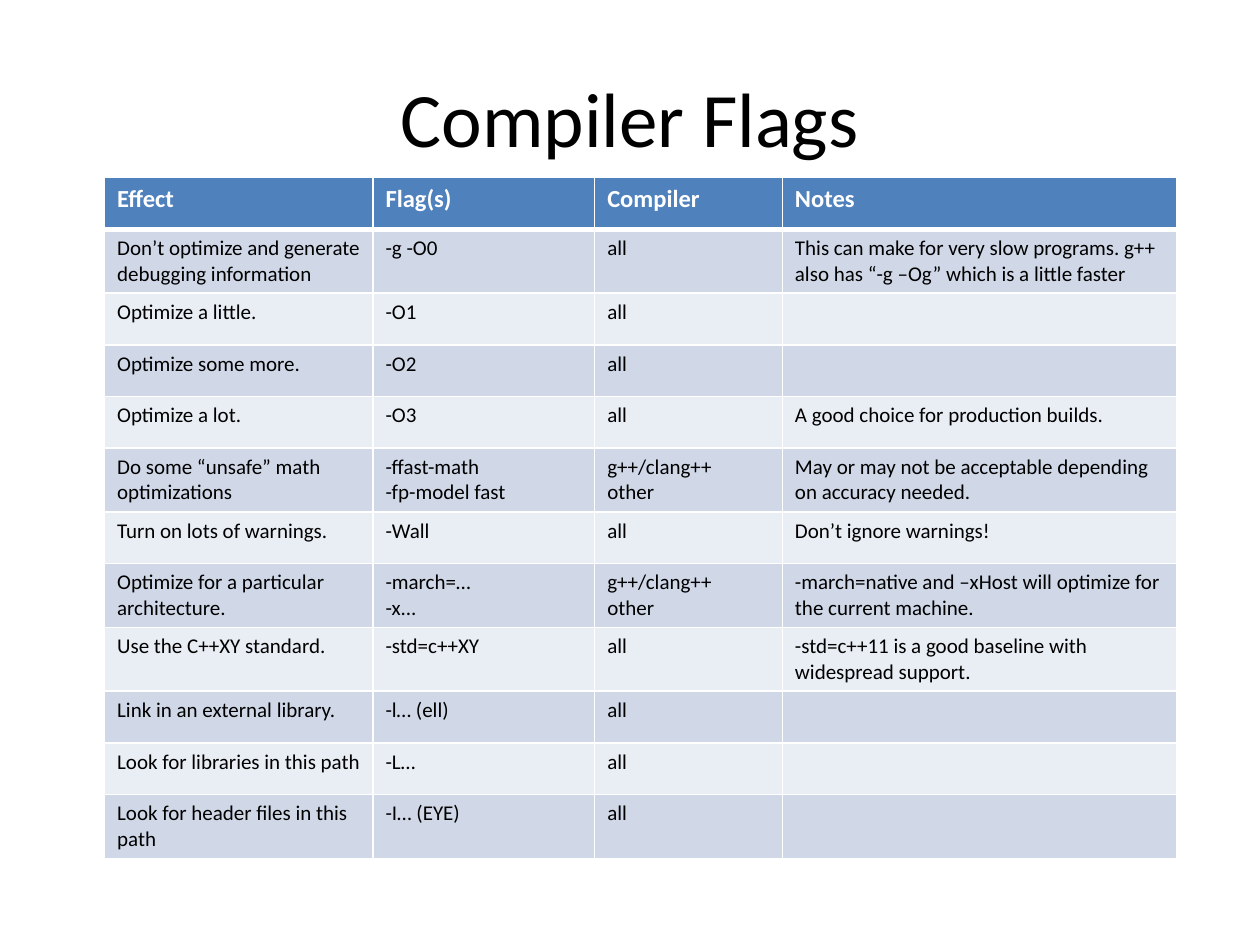
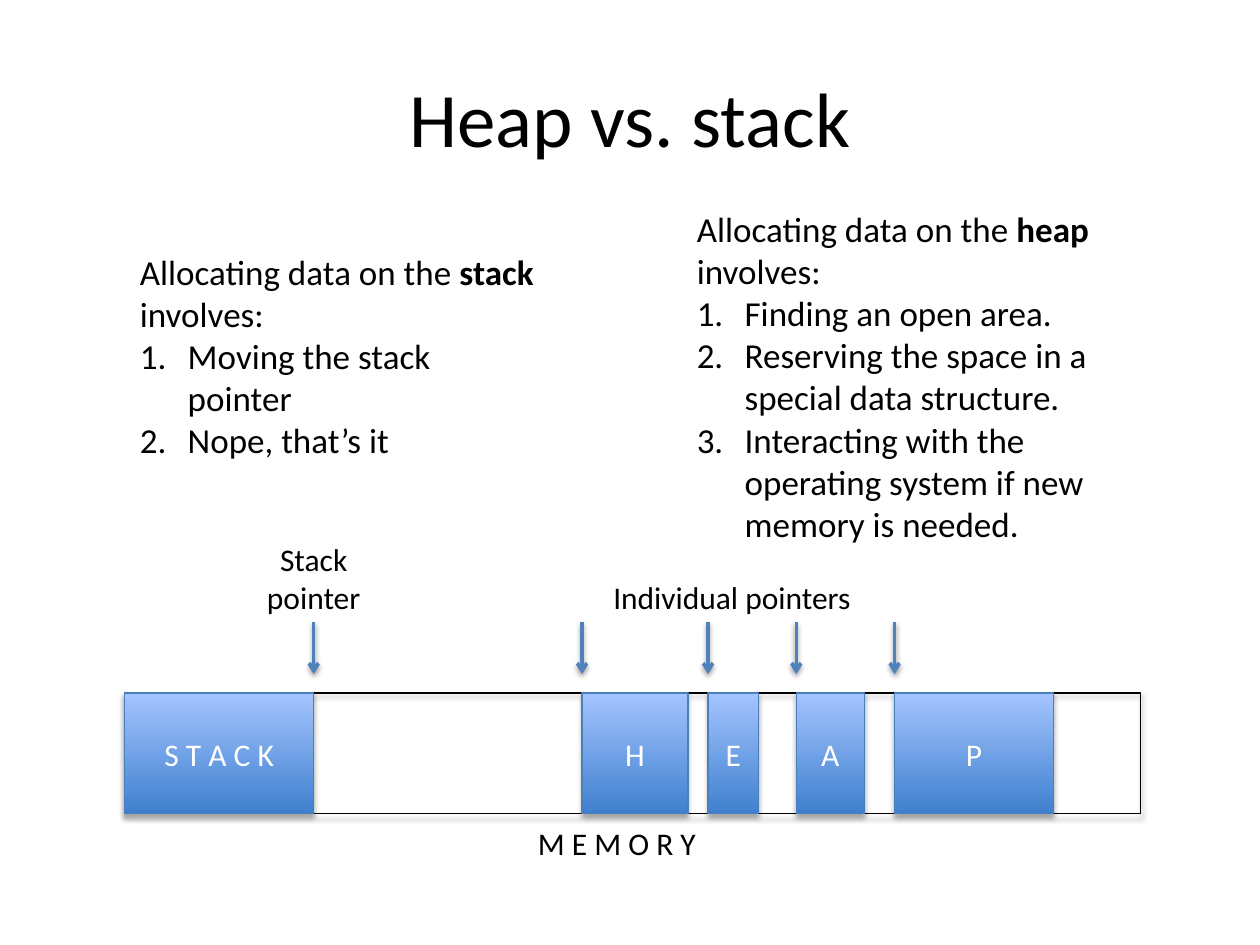
import pptx
import pptx.util
import pptx.dml.color
import pptx.enum.shapes
import pptx.enum.text
import pptx.oxml.ns
from lxml import etree

Inches, Pt = pptx.util.Inches, pptx.util.Pt
RGBColor = pptx.dml.color.RGBColor
qn = pptx.oxml.ns.qn
PP_ALIGN = pptx.enum.text.PP_ALIGN
MSO_ANCHOR = pptx.enum.text.MSO_ANCHOR

FONT = "Calibri"
BLACK = RGBColor(0x00, 0x00, 0x00)
WHITE = RGBColor(0xFF, 0xFF, 0xFF)
ACCENT = RGBColor(0x4F, 0x81, 0xBD)
BAND_DARK = RGBColor(0xD0, 0xD8, 0xE8)
BAND_LIGHT = RGBColor(0xE9, 0xED, 0xF4)
BLOCK_BOTTOM = RGBColor(0x3F, 0x80, 0xCE)
BLOCK_TOP = RGBColor(0xA4, 0xC4, 0xFF)
BLOCK_EDGE = RGBColor(0x4B, 0x7E, 0xBC)

TITLE_ONLY, TWO_CONTENT = 5, 3


def sub(parent, tag, **attributes):
    return etree.SubElement(parent, qn(tag), attributes)


class Deck:
    def __init__(self):
        self.prs = pptx.Presentation()
        self.prs.slide_width = Inches(10)
        self.prs.slide_height = Inches(7.5)
        self.slide = None

    def run(self, paragraph, text, size, color=BLACK, bold=False):
        run = paragraph.add_run()
        run.text = text
        font = run.font
        font.name, font.size, font.bold = FONT, Pt(size), bold
        font.color.rgb = color

    def new_slide(self, title, layout):
        self.slide = self.prs.slides.add_slide(self.prs.slide_layouts[layout])
        heading = self.slide.shapes.title
        self.place(heading, 0.5, 0.3, 9, 1.25)
        heading.text_frame.vertical_anchor = MSO_ANCHOR.MIDDLE
        paragraph = heading.text_frame.paragraphs[0]
        paragraph.alignment = PP_ALIGN.CENTER
        self.run(paragraph, title, 44)

    def place(self, shape, left, top, width, height):
        shape.left, shape.top = Inches(left), Inches(top)
        shape.width, shape.height = Inches(width), Inches(height)

    def shadow(self, shape, opacity, distance):
        effects = sub(shape._element.spPr, "a:effectLst")
        outer = sub(effects, "a:outerShdw", blurRad=str(Pt(3.1)),
                    dist=str(Pt(distance)), dir="5400000", rotWithShape="0")
        color = sub(outer, "a:srgbClr", val=str(BLACK))
        sub(color, "a:alpha", val=str(opacity * 1000))

    def cell(self, cell, lines, fill, size, color, bold, top, bottom):
        properties = cell._tc.get_or_add_tcPr()
        for side, weight in zip("LRTB", (1, 1, top, bottom)):
            border = sub(properties, "a:ln" + side, w=str(Pt(weight)))
            sub(sub(border, "a:solidFill"), "a:srgbClr", val=str(WHITE))
        cell.fill.solid()
        cell.fill.fore_color.rgb = fill
        if not lines:
            return
        frame = cell.text_frame
        for i, line in enumerate(lines.split("\n")):
            paragraph = frame.add_paragraph() if i else frame.paragraphs[0]
            self.run(paragraph, line, size, color, bold)

    def table(self, left, top, widths, row_height, rows):
        table = self.slide.shapes.add_table(
            len(rows), len(widths), Inches(left), Inches(top),
            Inches(sum(widths)), Inches(row_height * len(rows))).table
        for column, width in zip(table.columns, widths):
            column.width = Inches(width)
        for r, texts in enumerate(rows):
            table.rows[r].height = Inches(row_height)
            if r == 0:
                style = (ACCENT, 14, WHITE, True, 1, 3)
            else:
                band = BAND_DARK if r % 2 else BAND_LIGHT
                style = (band, 12, BLACK, False, 3 if r == 1 else 1, 1)
            for c, text in enumerate(texts):
                self.cell(table.cell(r, c), text, *style)

    def numbered_list(self, index, box, intro, steps):
        """Intro is a list of (text, bold) runs above the numbered steps."""
        body = self.slide.placeholders[index]
        self.place(body, *box)
        frame = body.text_frame
        frame.word_wrap = True
        frame.auto_size = pptx.enum.text.MSO_AUTO_SIZE.NONE
        frame.vertical_anchor = MSO_ANCHOR.TOP
        for i, runs in enumerate([intro] + [[(step, False)] for step in steps]):
            paragraph = frame.add_paragraph() if i else frame.paragraphs[0]
            paragraph.space_before = Pt(0)
            properties = paragraph._p.get_or_add_pPr()
            indent = Inches(0.38) if i else 0
            properties.set("marL", str(indent))
            properties.set("indent", str(-indent))
            if i:
                sub(properties, "a:buFont", typeface="+mj-lt")
                sub(properties, "a:buAutoNum", type="arabicPeriod")
            else:
                sub(properties, "a:buNone")
            for text, bold in runs:
                self.run(paragraph, text, 20, bold=bold)

    def label(self, text, left, top, width, height, wrap=True):
        frame = self.slide.shapes.add_textbox(
            Inches(left), Inches(top), Inches(width), Inches(height)).text_frame
        frame.word_wrap = wrap
        paragraph = frame.paragraphs[0]
        paragraph.alignment = PP_ALIGN.CENTER if wrap else PP_ALIGN.LEFT
        self.run(paragraph, text, 18)

    def block(self, left, top, width, height, text=None):
        """A memory block: filled when it has text, an empty outline if not."""
        block = self.slide.shapes.add_shape(
            pptx.enum.shapes.MSO_SHAPE.RECTANGLE,
            Inches(left), Inches(top), Inches(width), Inches(height))
        block.line.width = Pt(0.75)
        block.line.color.rgb = BLOCK_EDGE if text else BLACK
        if text:
            block.fill.gradient()
            block.fill.gradient_angle = 90
            for stop, color in zip(block.fill.gradient_stops,
                                   (BLOCK_BOTTOM, BLOCK_TOP)):
                stop.color.rgb = color
            block.text_frame.vertical_anchor = MSO_ANCHOR.MIDDLE
            paragraph = block.text_frame.paragraphs[0]
            paragraph.alignment = PP_ALIGN.CENTER
            self.run(paragraph, text, 18, WHITE)
        else:
            block.fill.background()
        self.shadow(block, 35, 1.8)

    def down_arrow(self, x, top, bottom):
        arrow = self.slide.shapes.add_connector(
            pptx.enum.shapes.MSO_CONNECTOR.STRAIGHT,
            Inches(x), Inches(top), Inches(x), Inches(bottom))
        arrow.line.width = Pt(2)
        arrow.line.color.rgb = ACCENT
        sub(arrow.line._get_or_add_ln(), "a:tailEnd", type="arrow")
        self.shadow(arrow, 38, 1.6)


deck = Deck()

# Compiler flags
FLAGS = [
    ("Effect", "Flag(s)", "Compiler", "Notes"),
    ("Don’t optimize and generate debugging information", "-g -O0", "all",
     "This can make for very slow programs. g++ also has “-g –Og” "
     "which is a little faster"),
    ("Optimize a little.", "-O1", "all", ""),
    ("Optimize some more.", "-O2", "all", ""),
    ("Optimize a lot.", "-O3", "all", "A good choice for production builds."),
    ("Do some “unsafe” math optimizations", "-ffast-math\n-fp-model fast",
     "g++/clang++\nother",
     "May or may not be acceptable depending on accuracy needed."),
    ("Turn on lots of warnings.", "-Wall", "all", "Don’t ignore warnings!"),
    ("Optimize for a particular architecture.", "-march=…\n-x...",
     "g++/clang++\nother",
     "-march=native and –xHost will optimize for the current machine."),
    ("Use the C++XY standard.", "-std=c++XY", "all",
     "-std=c++11 is a good baseline with widespread support."),
    ("Link in an external library.", "-l… (ell)", "all", ""),
    ("Look for libraries in this path", "-L…", "all", ""),
    ("Look for header files in this path", "-I… (EYE)", "all", ""),
]
deck.new_slide("Compiler Flags", TITLE_ONLY)
deck.table(0.83, 1.41, (2.13, 1.76, 1.49, 3.13), 0.41, FLAGS)

# Heap vs. stack: the two lists
deck.new_slide("Heap vs. stack", TWO_CONTENT)
deck.numbered_list(
    1, (1.01, 1.94, 3.33, 1.78),
    [("Allocating data on the ", False), ("stack", True), (" involves:", False)],
    ["Moving the stack pointer", "Nope, that’s it"])
deck.numbered_list(
    2, (5.43, 1.6, 3.33, 2.79),
    [("Allocating data on the ", False), ("heap ", True), ("involves:", False)],
    ["Finding an open area.",
     "Reserving the space in a special data structure.",
     "Interacting with the operating system if new memory is needed."])

# Memory bar with its stack and heap blocks
MEMORY_LEFT, MEMORY_TOP, MEMORY_HEIGHT = 0.99, 5.5, 0.96
STACK_WIDTH = 1.5
HEAP = [("H", 4.62, 0.84), ("E", 5.62, 0.4), ("A", 6.32, 0.54), ("P", 7.1, 1.26)]
deck.block(MEMORY_LEFT, MEMORY_TOP, 8.06, MEMORY_HEIGHT)
deck.label("M E M O R Y", 4.17, 6.49, 1.48, 0.4, wrap=False)
deck.block(MEMORY_LEFT, MEMORY_TOP, STACK_WIDTH, MEMORY_HEIGHT, "S T A C K")
for letter, left, width in HEAP:
    deck.block(left, MEMORY_TOP, width, MEMORY_HEIGHT, letter)

# Pointers: the end of the stack and the start of each heap block
for x in [MEMORY_LEFT + STACK_WIDTH] + [left for _, left, _ in HEAP]:
    deck.down_arrow(x, 4.94, 5.35)
deck.label("Stack pointer", 1.92, 4.24, 1.14, 0.71)
deck.label("Individual pointers", 4, 4.54, 3.62, 0.4)

deck.prs.save("out.pptx")
